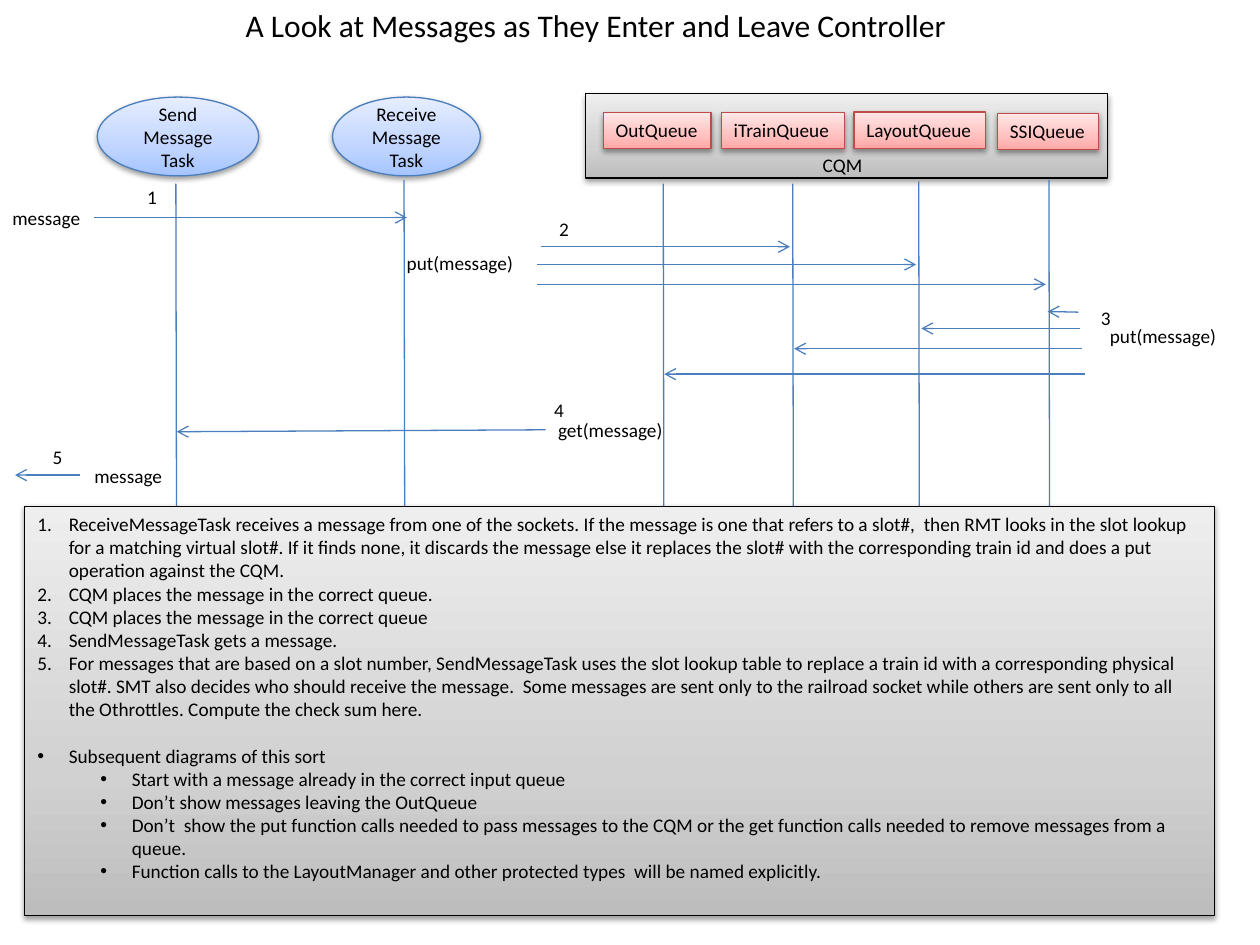
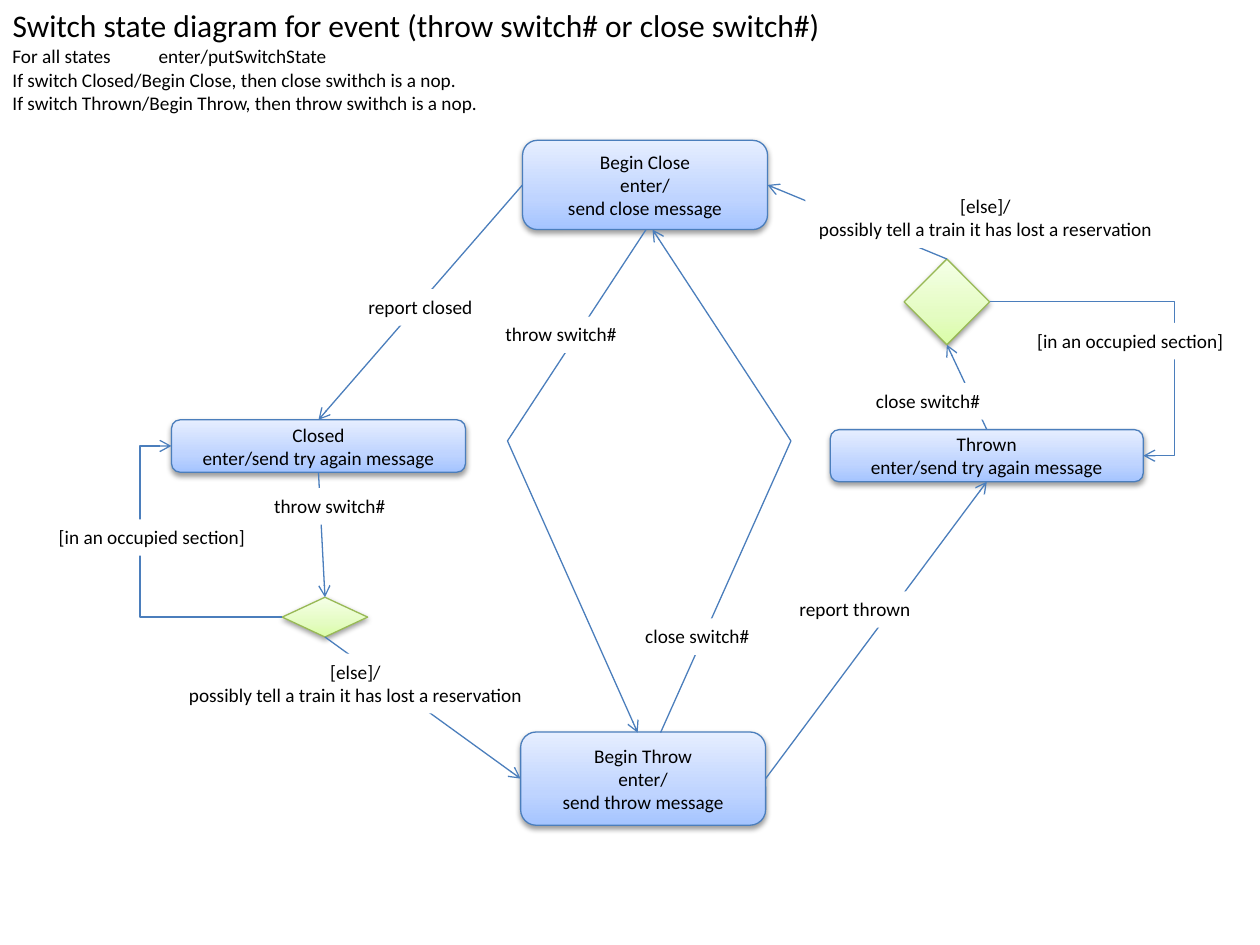
from copy import deepcopy
from dataclasses import dataclass

from pptx import Presentation
from pptx.dml.color import RGBColor
from pptx.enum.shapes import MSO_CONNECTOR as Connector, MSO_SHAPE as Geometry
from pptx.enum.text import MSO_ANCHOR as Anchor, MSO_AUTO_SIZE as AutoSize, PP_ALIGN as Align
from pptx.oxml import parse_xml
from pptx.oxml.ns import nsdecls, qn
from pptx.oxml.xmlchemy import OxmlElement
from pptx.util import Pt


@dataclass(frozen=True)
class Look:
    outline: str
    bottom: str
    middle: str
    top: str


@dataclass(frozen=True)
class Theme:
    font: str = "Calibri"
    title_size: int = 18
    text_size: int = 11
    text: str = "000000"
    paper: str = "FFFFFF"
    line_width: float = 0.75
    label_height: float = 20.8
    blue: Look = Look("4B7EBC", "A4C4FF", "BFD4FF", "E6EEFF")
    red: Look = Look("BF4C48", "FFA6A5", "FFC0BF", "FFE7E7")
    green: Look = Look("98B955", "DAFDA7", "E4FCC2", "F5FFE7")
    gray: Look = Look("000000", "BDBDBD", "D1D1D1", "EEEEEE")


theme = Theme()
LEFT, TOP_SITE, LEFT_SITE, BOTTOM_SITE, RIGHT_SITE = Align.LEFT, 0, 1, 2, 3


def add_box(slide, geometry, box, lines=(), look=None, align=LEFT, wrap=False, anchor=Anchor.TOP):
    """Add a shaded shape when a look is given, otherwise a plain text box."""
    frame_box = [Pt(value) for value in box]
    if look:
        shape = slide.shapes.add_shape(geometry, *frame_box)
        shape.fill.gradient()
        shape.fill.gradient_angle = 90
        first_stop = shape._element.spPr.find(".//" + qn("a:gs"))
        first_stop.addnext(deepcopy(first_stop))
        stops = zip(shape.fill.gradient_stops, (0, 0.35, 1), (look.bottom, look.middle, look.top))
        for stop, position, color in stops:
            stop.position = position
            stop.color.rgb = RGBColor.from_string(color)
        shape.line.color.rgb = RGBColor.from_string(look.outline)
        shape.line.width = Pt(theme.line_width)
        shape.shadow.inherit = False
        shape._element.spPr.find(qn("a:effectLst")).append(parse_xml(
            f'<a:outerShdw {nsdecls("a")} blurRad="40000" dist="20000" dir="5400000" rotWithShape="0">'
            '<a:srgbClr val="000000"><a:alpha val="38000"/></a:srgbClr></a:outerShdw>'))
    else:
        shape = slide.shapes.add_textbox(*frame_box)
    frame = shape.text_frame
    frame.word_wrap = wrap
    frame.vertical_anchor = anchor
    for index, line in enumerate(lines):
        paragraph = frame.paragraphs[0] if index == 0 else frame.add_paragraph()
        paragraph.alignment = align
        run = paragraph.add_run()
        run.text = line
        run.font.name = theme.font
        run.font.size = Pt(theme.text_size)
        run.font.color.rgb = RGBColor.from_string(theme.text)
    return shape


def draw_line(line_shape, arrow=None):
    """Give a line its pen; arrow is headEnd, tailEnd or None."""
    line_shape.line.color.rgb = RGBColor.from_string(theme.blue.outline)
    line_shape.line.width = Pt(theme.line_width)
    properties = line_shape._element.spPr
    if arrow:
        end = OxmlElement(f"a:{arrow}")
        end.set("type", "arrow")
        properties.find(qn("a:ln")).append(end)
    properties.append(OxmlElement("a:effectLst"))


presentation = Presentation()
presentation.slide_width, presentation.slide_height = Pt(720), Pt(540)

slides = []
for title_text, left, width in (
    ("A Look at Messages as They Enter and Leave Controller", 133.2, 420),
    ("Switch state diagram for event (throw switch# or close switch#)", 0, 481),
):
    slide = presentation.slides.add_slide(presentation.slide_layouts[5])
    slides.append(slide)
    title = slide.shapes.title
    title.left, title.top, title.width, title.height = Pt(left), Pt(0), Pt(width), Pt(29)
    frame = title.text_frame
    frame.word_wrap = False
    frame.auto_size = AutoSize.NONE
    frame.vertical_anchor = Anchor.TOP
    paragraph = frame.paragraphs[0]
    paragraph.alignment = LEFT
    run = paragraph.add_run()
    run.text = title_text
    run.font.name = theme.font
    run.font.size = Pt(theme.title_size)
    run.font.color.rgb = RGBColor.from_string(theme.text)
message_slide, state_slide = slides

# Message sequence: participants
add_box(message_slide, Geometry.RECTANGLE, (334.8, 53.4, 298.2, 48.4), look=theme.gray)
for left, width, verb in ((190, 84.5, "Receive"), (55.6, 92.3, "Send")):
    add_box(message_slide, Geometry.FLOWCHART_CONNECTOR, (left, 55.5, width, 45),
            (verb, "Message", "Task"), theme.blue, Align.CENTER, True, Anchor.MIDDLE)
for name, left, top, width in (
    ("OutQueue", 344.7, 64.3, 61.6),
    ("iTrainQueue", 412.2, 64.3, 70.4),
    ("LayoutQueue", 488, 64, 75),
    ("SSIQueue", 570, 64.8, 57.6),
):
    add_box(message_slide, Geometry.RECTANGLE, (left, top, width, theme.label_height), (name,), theme.red)

# Message sequence: lifelines and messages
for x, y in ((100.5, 105), (230.9, 103), (379, 105), (453, 105), (525, 103.7), (599.4, 103)):
    lifeline = message_slide.shapes.add_connector(
        Connector.STRAIGHT, Pt(x), Pt(y), Pt(x + 0.7), Pt(y + 360))
    draw_line(lifeline)
for start_x, start_y, end_x, end_y in (
    (53.5, 124.3, 232.5, 124.3),
    (309, 141, 451.4, 141),
    (306.8, 151.2, 523.5, 151.2),
    (306.8, 162.5, 597.6, 162.5),
    (616.3, 178.4, 598.6, 178),
    (617, 187.7, 526.5, 187.7),
    (618.5, 199.3, 453.8, 199.3),
    (619.9, 213.8, 379.6, 213.8),
    (311.8, 245.6, 101, 246.7),
    (45.5, 271.5, 8.6, 271.5),
):
    message = message_slide.shapes.add_connector(
        Connector.STRAIGHT, Pt(start_x), Pt(start_y), Pt(end_x), Pt(end_y))
    draw_line(message, "tailEnd")
for text, left, top, width in (
    ("CQM", 463, 84.3, 37.4),
    ("message", 0, 114.2, 53.3),
    ("put(message)", 225.3, 140, 75.6),
    ("put(message)", 627.1, 181.8, 75.6),
    ("get(message)", 311.8, 235.5, 74.2),
    ("message", 46.8, 261.5, 53.3),
    ("1", 77, 102.3, 20),
    ("2", 312.5, 120.5, 20),
    ("3", 622, 171.3, 20),
    ("4", 309.6, 224, 20),
    ("5", 23, 250.8, 20),
):
    add_box(message_slide, None, (left, top, width, theme.label_height), (text,))

# Message sequence: explanation
steps = (
    "ReceiveMessageTask receives a message from one of the sockets. If the message is one that refers "
    "to a slot#,  then RMT looks in the slot lookup for a matching virtual slot#. If it finds none, it "
    "discards the message else it replaces the slot# with the corresponding train id and does a put "
    "operation against the CQM.",
    "CQM places the message in the correct queue.",
    "CQM places the message in the correct queue",
    "SendMessageTask gets a message.",
    "For messages that are based on a slot number, SendMessageTask uses the slot lookup table to replace "
    "a train id with a corresponding physical slot#. SMT also decides who should receive the message.  "
    "Some messages are sent only to the railroad socket while others are sent only to all the Othrottles. "
    "Compute the check sum here.",
)
notes_heading = "Subsequent diagrams of this sort"
notes = (
    "Start with a message already in the correct input queue",
    "Don’t show messages leaving the OutQueue",
    "Don’t  show the put function calls needed to pass messages to the CQM or the get function calls "
    "needed to remove messages from a queue.",
    "Function calls to the LayoutManager and other protected types  will be named explicitly.",
)
explanation = add_box(message_slide, Geometry.RECTANGLE, (14.2, 289.3, 680, 234),
                      (*steps, notes_heading, *notes), theme.gray, wrap=True)
for index, paragraph in enumerate(explanation.text_frame.paragraphs):
    nested = index > len(steps)
    paragraph.level = int(nested)
    properties = paragraph._p.get_or_add_pPr()
    properties.set("marL", str(Pt(54 if nested else 18)))
    properties.set("indent", str(-Pt(18)))
    font = OxmlElement("a:buFont")
    font.set("typeface", theme.font if index < len(steps) else "Arial")
    if index < len(steps):
        marker = OxmlElement("a:buAutoNum")
        marker.set("type", "arabicPeriod")
    else:
        marker = OxmlElement("a:buChar")
        marker.set("char", "•")
    properties.extend((font, marker))
    if index == len(steps):
        paragraph.space_before = Pt(13.4)

# State diagram: rules under the title
rules = add_box(state_slide, None, (0, 22, 300, 47.5), (
    "For all states\tenter/putSwitchState",
    "If switch Closed/Begin Close, then close swithch is a nop.",
    "If switch Thrown/Begin Throw, then throw swithch is a nop.",
), wrap=True)
tab_stops = OxmlElement("a:tabLst")
tab_stop = OxmlElement("a:tab")
tab_stop.set("pos", str(Pt(83.5)))
tab_stop.set("algn", "l")
tab_stops.append(tab_stop)
rules.text_frame.paragraphs[0]._p.get_or_add_pPr().append(tab_stops)

# State diagram: states and decisions
nodes = {}
for name, box, lines in (
    ("closed", (98, 239.9, 168, 30), ("Closed", "enter/send try again message")),
    ("thrown", (474.5, 245.5, 178.8, 29.8), ("Thrown", "enter/send try again message")),
    ("begin throw", (297.5, 418.3, 140, 53.3), ("Begin Throw", "enter/", "send throw message")),
    ("begin close", (298.6, 80.2, 140, 51), ("Begin Close", "enter/", "send close message")),
):
    nodes[name] = add_box(state_slide, Geometry.ROUNDED_RECTANGLE, box, lines,
                          theme.blue, Align.CENTER, True, Anchor.MIDDLE)
for name, box in (("throw check", (161.3, 341.3, 48.8, 22.7)), ("close check", (516.7, 148, 48.8, 49))):
    nodes[name] = add_box(state_slide, Geometry.FLOWCHART_DECISION, box, look=theme.green)

# State diagram: transitions
for source, source_site, target, target_site, bend in (
    ("begin throw", RIGHT_SITE, "thrown", BOTTOM_SITE, None),
    ("begin close", LEFT_SITE, "closed", TOP_SITE, None),
    ("thrown", TOP_SITE, "close check", BOTTOM_SITE, None),
    ("close check", RIGHT_SITE, "thrown", RIGHT_SITE, 120500),
    ("close check", TOP_SITE, "begin close", RIGHT_SITE, None),
    ("closed", BOTTOM_SITE, "throw check", TOP_SITE, None),
    ("throw check", LEFT_SITE, "closed", LEFT_SITE, 128400),
    ("throw check", BOTTOM_SITE, "begin throw", LEFT_SITE, None),
):
    kind = Connector.ELBOW if bend else Connector.STRAIGHT
    transition = state_slide.shapes.add_connector(kind, 0, 0, 0, 0)
    transition.begin_connect(nodes[source], source_site)
    transition.end_connect(nodes[target], target_site)
    if bend:
        guide = OxmlElement("a:gd")
        guide.set("name", "adj1")
        guide.set("fmla", f"val {bend}")
        transition._element.spPr.find(".//" + qn("a:avLst")).append(guide)
    draw_line(transition, "tailEnd")
for points, arrow in (
    (((369.2, 131.2), (290, 252), (364.4, 418.7)), "tailEnd"),
    (((372.9, 131.2), (452, 252), (377.5, 418.7)), "headEnd"),
):
    start, *others = [(Pt(x), Pt(y)) for x, y in points]
    builder = state_slide.shapes.build_freeform(*start)
    builder.add_line_segments(others, close=False)
    path_shape = builder.convert_to_shape()
    path_shape.fill.background()
    draw_line(path_shape, arrow)

# State diagram: transition labels
occupied = ("[in an occupied section]",)
lost = ("[else]/", "possibly tell a train it has lost a reservation")
for lines, left, top, width in (
    (("report thrown",), 449.3, 337.9, 78.5),
    (("report closed",), 203.2, 165.3, 74.2),
    (("close switch#",), 361.4, 353.4, 74.2),
    (("close switch#",), 493.2, 219, 74.2),
    (("throw switch#",), 281.3, 180.9, 78.5),
    (("throw switch#",), 149.2, 279, 78.5),
    (occupied, 13, 296.8, 147.6),
    (occupied, 585.4, 184.6, 121),
    (lost, 100.2, 373.5, 205.9),
    (lost, 460.2, 107.4, 205.9),
):
    height = theme.label_height + 13.4 * (len(lines) - 1)
    label = add_box(state_slide, None, (left, top, width, height), lines, align=Align.CENTER)
    label.fill.solid()
    label.fill.fore_color.rgb = RGBColor.from_string(theme.paper)

presentation.save("out.pptx")
